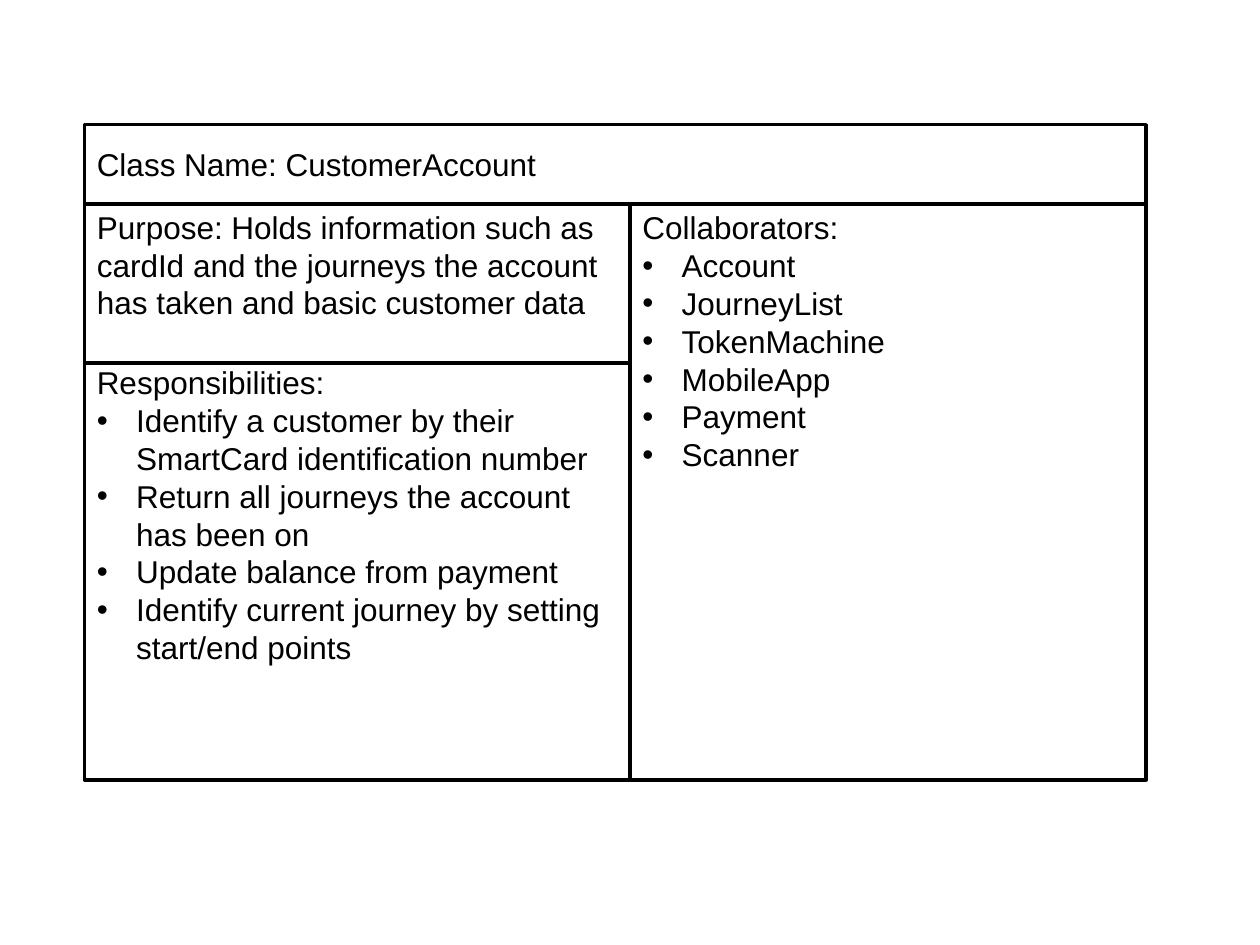
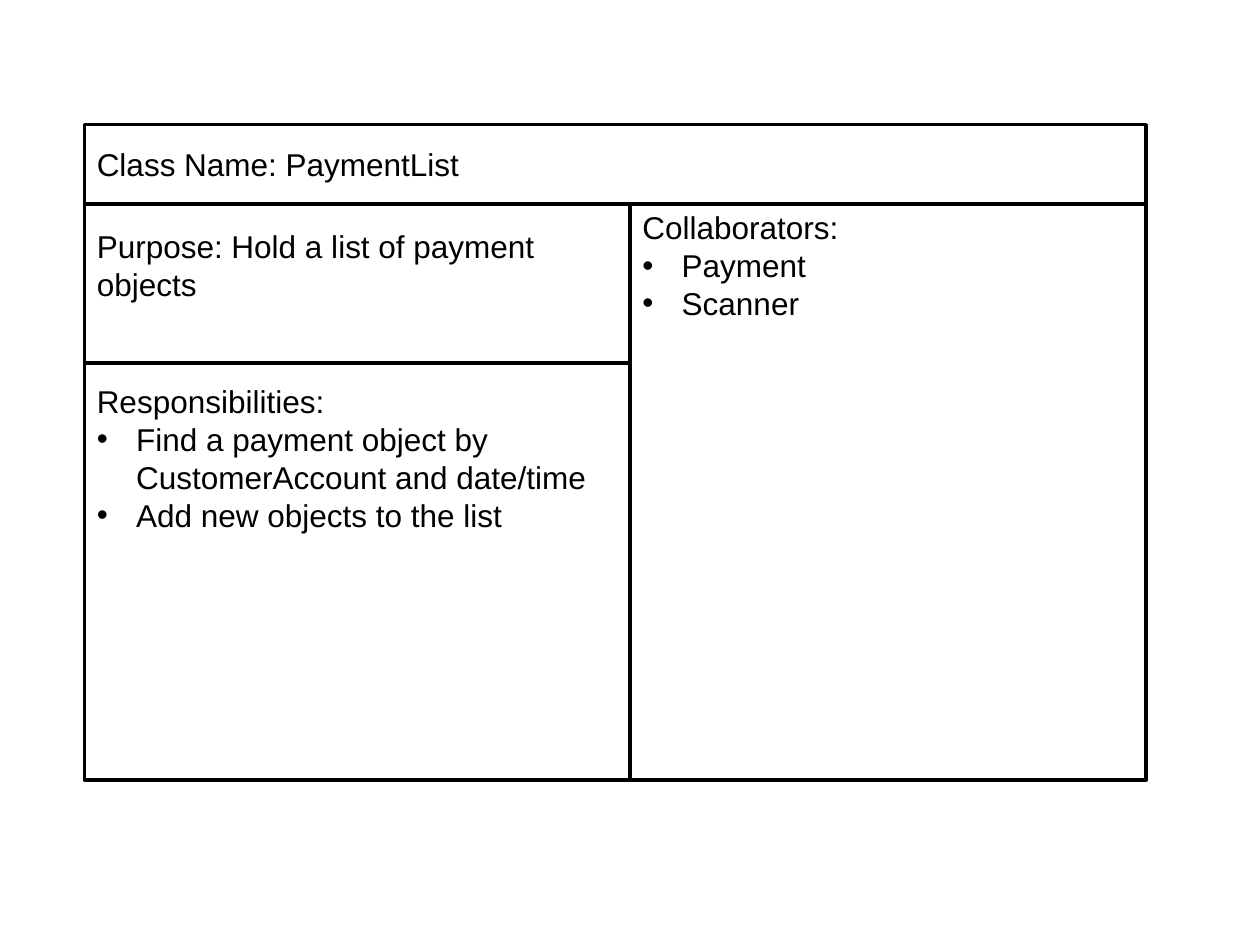
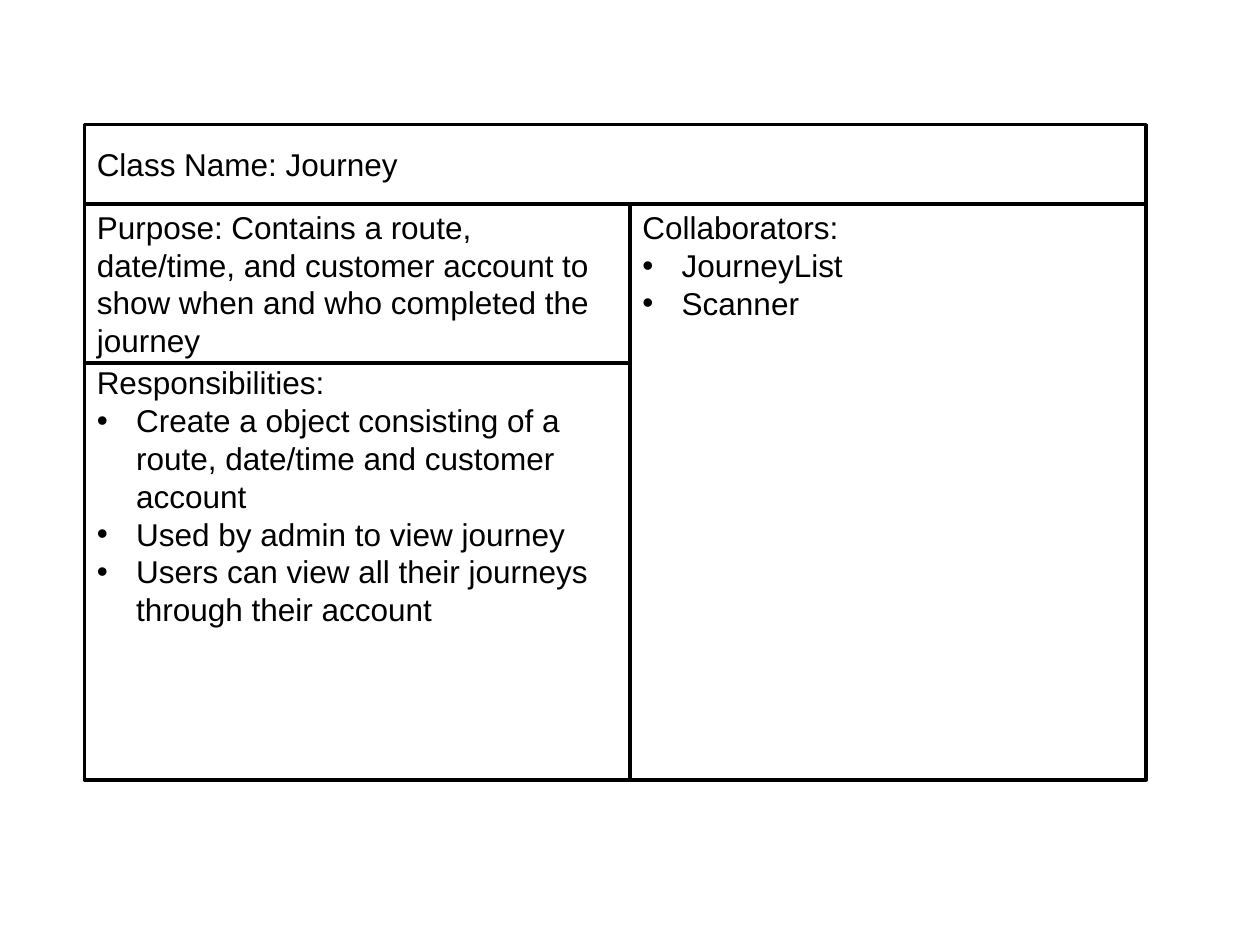
from lxml import etree
from pptx import Presentation
from pptx.dml.color import RGBColor
from pptx.enum import shapes, text
from pptx.oxml import ns
from pptx.util import Pt

HUES = {"ink": "000000", "paper": "FFFFFF"}
FONT = "Arial"
SIZE = 18
PITCH = 21.6
INDENT = 22.5
CARD = (48.24, 71.28, 606.72, 374.4)
NAME_H, AIM_H, LEFT_W = 45.36, 90.72, 311.76

CARDS = [
    dict(
        name="CustomerAccount",
        aim="Holds information such as cardId and the journeys the account "
            "has taken and basic customer data",
        duties=[
            "Identify a customer by their SmartCard identification number",
            "Return all journeys the account has been on",
            "Update balance from payment",
            "Identify current journey by setting start/end points",
        ],
        peers=["Account", "JourneyList", "TokenMachine", "MobileApp",
               "Payment", "Scanner"],
        drop=0,
    ),
    dict(
        name="PaymentList",
        aim="Hold a list of payment objects",
        duties=[
            "Find a payment object by CustomerAccount and date/time",
            "Add new objects to the list",
        ],
        peers=["Payment", "Scanner"],
        drop=10.8,
    ),
    dict(
        name="Journey",
        aim="Contains a route, date/time, and customer account to show when "
            "and who completed the journey",
        duties=[
            "Create a object consisting of a route, date/time and customer account",
            "Used by admin to view journey",
            "Users can view all their journeys through their account",
        ],
        peers=["JourneyList", "Scanner"],
        drop=0,
    ),
]


def hue(key):
    return RGBColor.from_string(HUES[key])


def add_bullet(para):
    props = para._p.get_or_add_pPr()
    props.set("marL", str(Pt(INDENT)))
    props.set("indent", str(-Pt(INDENT)))
    etree.SubElement(props, ns.qn("a:buFont")).set("typeface", FONT)
    etree.SubElement(props, ns.qn("a:buChar")).set("char", "•")


def add_cell(slide, box, head, items=(), top=None):
    cell = slide.shapes.add_shape(
        shapes.MSO_SHAPE.RECTANGLE, *(Pt(side) for side in box))
    cell.shadow.inherit = False
    cell.fill.solid()
    cell.fill.fore_color.rgb = hue("paper")
    cell.line.color.rgb = hue("ink")
    cell.line.width = Pt(2)
    frame = cell.text_frame
    frame.word_wrap = True
    frame.margin_left = frame.margin_right = Pt(7.2)
    frame.margin_top = frame.margin_bottom = Pt(top or 0)
    frame.vertical_anchor = text.MSO_ANCHOR.MIDDLE
    if top is not None:
        frame.vertical_anchor = text.MSO_ANCHOR.TOP
        frame.margin_bottom = 0
    for spot, line in enumerate([head, *items]):
        para = frame.add_paragraph() if spot else frame.paragraphs[0]
        para.text = line
        para.alignment = text.PP_ALIGN.LEFT
        para.line_spacing = Pt(PITCH)
        if spot:
            add_bullet(para)
        para.font.name = FONT
        para.font.size = Pt(SIZE)
        para.font.color.rgb = hue("ink")


def add_card(slide, box, card):
    x, y, w, h = box
    body = y + NAME_H
    low = body + AIM_H
    drop = card["drop"]
    add_cell(slide, (x, body, LEFT_W, AIM_H),
             "Purpose: " + card["aim"], top=2.16 + drop)
    add_cell(slide, (x, low, LEFT_W, y + h - low),
             "Responsibilities:", card["duties"], 0.34 + drop)
    add_cell(slide, (x + LEFT_W, body, w - LEFT_W, h - NAME_H),
             "Collaborators:", card["peers"], 2.5)
    add_cell(slide, (x, y, w, NAME_H), "Class Name: " + card["name"])


def main():
    deck = Presentation()
    deck.slide_width, deck.slide_height = Pt(720), Pt(540)
    for card in CARDS:
        slide = deck.slides.add_slide(deck.slide_layouts[6])
        add_card(slide, CARD, card)
    deck.save("out.pptx")


if __name__ == "__main__":
    main()
